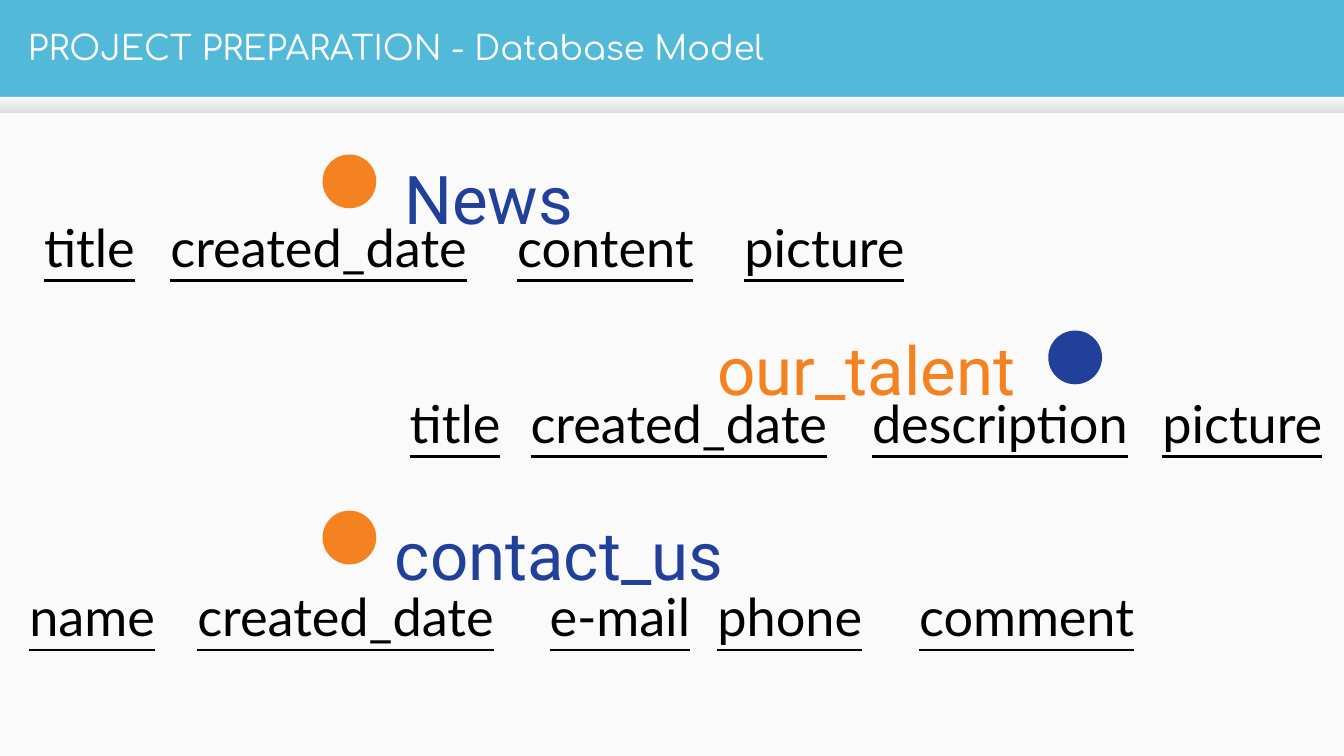
from pptx import Presentation
from pptx.dml.color import RGBColor
from pptx.enum.shapes import MSO_SHAPE
from pptx.enum.text import MSO_ANCHOR, MSO_AUTO_SIZE
from pptx.util import Inches, Pt

SKY = RGBColor(0x53, 0xB9, 0xD9)
PAPER = RGBColor(0xFA, 0xFA, 0xFA)
SHADE_TOP = RGBColor(0xF9, 0xF9, 0xF9)
SHADE_BOTTOM = RGBColor(0xDE, 0xDE, 0xDE)
WHITE = RGBColor(0xFF, 0xFF, 0xFF)
BLACK = RGBColor(0x00, 0x00, 0x00)
NAVY = RGBColor(0x21, 0x40, 0x9A)
ORANGE = RGBColor(0xF5, 0x82, 0x20)

FIELD_WIDTHS = {
    "title": 0.9, "created_date": 2.56, "content": 1.6, "picture": 1.47,
    "description": 2.24, "name": 1.24, "e-mail": 1.32, "phone": 1.37,
    "comment": 1.94,
}

MODELS = [
    ("News", NAVY, (2.91, 1.12, 1.48), ORANGE, (2.4, 1.15), 1.55,
     [("title", 0.23), ("created_date", 1.17), ("content", 3.75), ("picture", 5.44)]),
    ("our_talent", ORANGE, (5.24, 2.39, 2.6), NAVY, (7.8, 2.46), 2.86,
     [("title", 2.95), ("created_date", 3.85), ("description", 6.39), ("picture", 8.55)]),
    ("contact_us", NAVY, (2.84, 3.77, 2.79), ORANGE, (2.4, 3.8), 4.3,
     [("name", 0.12), ("created_date", 1.37), ("e-mail", 3.99), ("phone", 5.24),
      ("comment", 6.74)]),
]

prs = Presentation()
prs.slide_width = Inches(10)
prs.slide_height = Inches(10 * 9 / 16)
slide = prs.slides.add_slide(prs.slide_layouts[6])
slide.background.fill.solid()
slide.background.fill.fore_color.rgb = SKY


def add_panel(kind, left, top, width, height, color):
    panel = slide.shapes.add_shape(
        kind, Inches(left), Inches(top), Inches(width), Inches(height))
    panel.shadow.inherit = False
    panel.line.fill.background()
    panel.fill.solid()
    panel.fill.fore_color.rgb = color
    return panel


def add_label(text, left, top, width, height, font_name, size, color):
    label = slide.shapes.add_textbox(
        Inches(left), Inches(top), Inches(width), Inches(height))
    frame = label.text_frame
    frame.word_wrap = False
    frame.auto_size = MSO_AUTO_SIZE.SHAPE_TO_FIT_TEXT
    run = frame.paragraphs[0].add_run()
    run.text = text
    run.font.name = font_name
    run.font.size = Pt(size)
    run.font.color.rgb = color
    return frame


add_panel(MSO_SHAPE.RECTANGLE, 0, 0.72, 10, 4.91, PAPER)
header_shade = add_panel(MSO_SHAPE.RECTANGLE, 0, 0.72, 10, 0.12, SHADE_TOP)
header_shade.fill.gradient()
header_shade.fill.gradient_angle = 270
for stop, color, position in zip(
        header_shade.fill.gradient_stops, (SHADE_TOP, SHADE_BOTTOM), (0, 1)):
    stop.color.rgb = color
    stop.position = position

title = add_label("PROJECT PREPARATION - Database Model",
                  0.11, 0.02, 9.65, 0.66, "Comfortaa", 18, WHITE)
title.auto_size = MSO_AUTO_SIZE.NONE
title.word_wrap = True
title.vertical_anchor = MSO_ANCHOR.MIDDLE
title.margin_top = title.margin_bottom = Inches(0.1)

for model, color, (left, top, width), dot_color, dot_place, row_top, fields in MODELS:
    add_label(model, left, top, width, 0.78, "Roboto", 36, color)
    for field, field_left in fields:
        field_frame = add_label(field, field_left, row_top, FIELD_WIDTHS[field], 0.63,
                                "Lato", 28, BLACK)
        field_frame.paragraphs[0].runs[0].font.underline = True
    add_panel(MSO_SHAPE.OVAL, *dot_place, 0.4, 0.4, dot_color)

prs.save("out.pptx")
